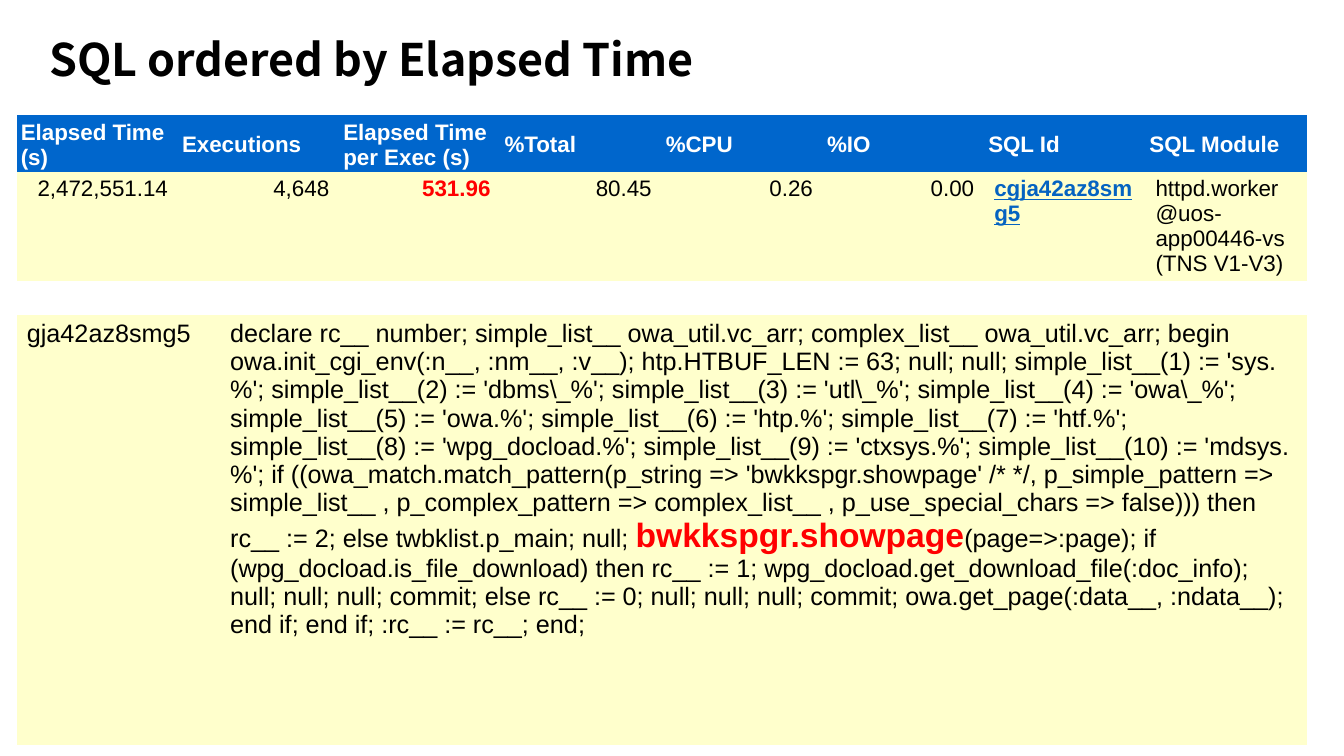
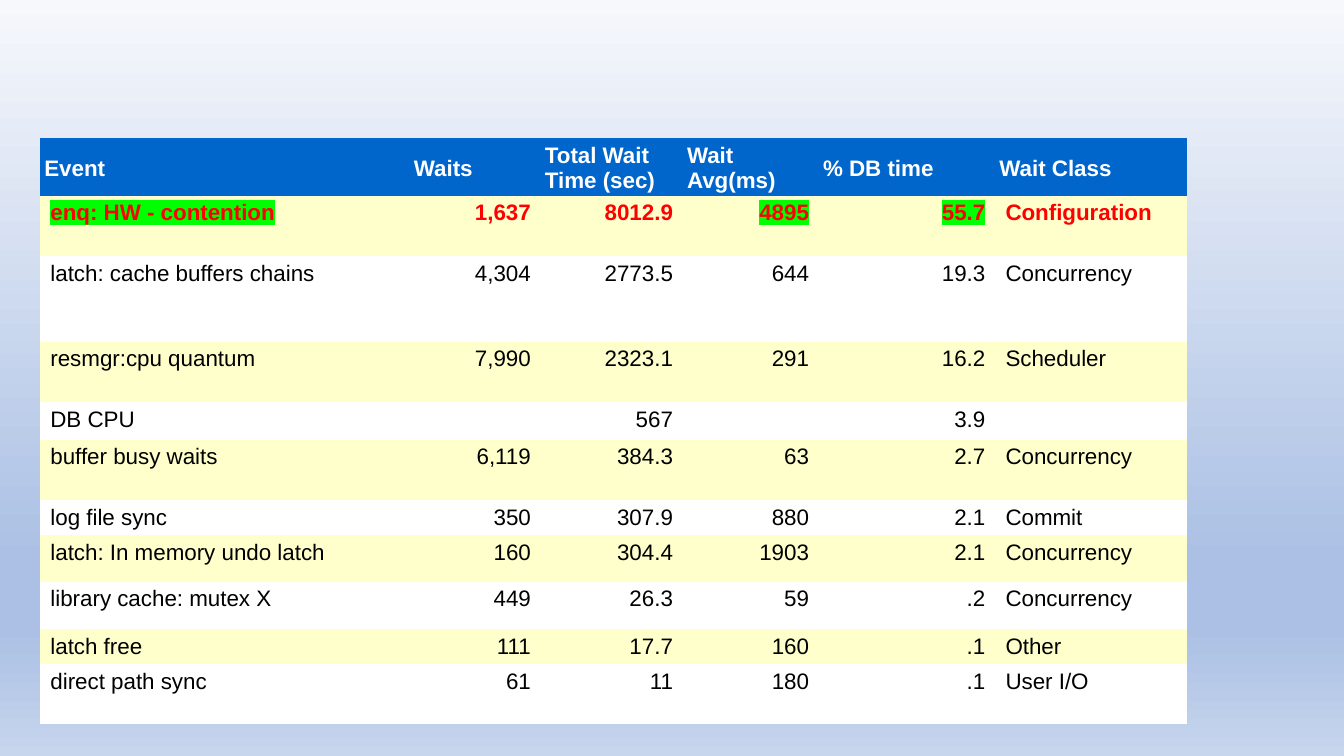
"""Builds two slides of database wait and SQL timing tables."""
from dataclasses import dataclass
from functools import partial

from lxml import etree
from pptx import Presentation, util as u
from pptx.dml import color as dml
from pptx.enum import text as t
from pptx.oxml import ns

GRID_COLUMNS, GRID_ROWS = 80, 45
FONT, TITLE_FONT = "Arial", "Noto Sans CJK SC"
BLACK, WHITE, RED = "000000", "FFFFFF", "FF0000"
BLUE, CREAM, LINK, GREEN = "0066CC", "FFFFCC", "0563C1", "00FF00"
PLAIN_TABLE = "{2D5ABB26-0587-4C30-8999-92F81FD0307C}"


@dataclass
class Piece:
    """A stretch of text with its own look."""
    text: str
    color: str = BLACK
    bold: bool = False
    underline: bool = False
    highlight: str = ""
    size: int = 0


Alert = partial(Piece, color=RED, bold=True)
Marked = partial(Alert, highlight=GREEN)


def rgb(value):
    """Turn a hex string into a colour."""
    return dml.RGBColor.from_string(value)


class Deck:
    """Holds the style and the current slide."""

    def __init__(self):
        """Start a widescreen presentation."""
        self.presentation = Presentation()
        self.presentation.slide_width = u.Inches(13.333)
        self.presentation.slide_height = u.Inches(7.5)
        self.slide = None

    def x(self, columns):
        """Convert grid columns to a length."""
        return round(self.presentation.slide_width * columns / GRID_COLUMNS)

    def y(self, rows):
        """Convert grid rows to a length."""
        return round(self.presentation.slide_height * rows / GRID_ROWS)

    def add_slide(self, layout):
        """Add a slide and make it current."""
        layouts = self.presentation.slide_layouts
        self.slide = self.presentation.slides.add_slide(layouts.get_by_name(layout))

    def title(self, words, left, top, width, height):
        """Place and format the title placeholder."""
        shape = self.slide.shapes.title
        shape.left, shape.top = self.x(left), self.y(top)
        shape.width, shape.height = self.x(width), self.y(height)
        frame = shape.text_frame
        frame.text = words
        frame.word_wrap = True
        frame.auto_size = t.MSO_AUTO_SIZE.NONE
        frame.vertical_anchor = t.MSO_ANCHOR.MIDDLE
        paragraph = frame.paragraphs[0]
        paragraph.alignment = t.PP_ALIGN.LEFT
        self.style(paragraph.runs[0], Piece(words, bold=True), 32, TITLE_FONT)

    def gradient(self, stops):
        """Fill the background from top to bottom."""
        fill = self.slide.background.fill
        fill.gradient()
        fill.gradient_angle = 270
        stop_list = self.slide.element.find(".//" + ns.qn("a:gsLst"))
        for stop in list(stop_list):
            stop_list.remove(stop)
        for percent, value in stops:
            stop = etree.SubElement(stop_list, ns.qn("a:gs"), pos=str(percent * 1000))
            etree.SubElement(stop, ns.qn("a:srgbClr"), val=value)

    def style(self, run, piece, size, font=FONT):
        """Format one run."""
        run.font.name, run.font.size = font, u.Pt(piece.size or size)
        run.font.bold, run.font.underline = piece.bold, piece.underline
        run.font.color.rgb = rgb(piece.color)
        if piece.highlight:
            highlight = etree.Element(ns.qn("a:highlight"))
            etree.SubElement(highlight, ns.qn("a:srgbClr"), val=piece.highlight)
            run.font._element.find(ns.qn("a:solidFill")).addnext(highlight)

    def cell(self, cell, content, fill, size, right):
        """Fill a cell with a string, a piece or a list of pieces."""
        cell.fill.solid()
        cell.fill.fore_color.rgb = rgb(fill)
        paragraph = cell.text_frame.paragraphs[0]
        paragraph.alignment = t.PP_ALIGN.RIGHT if right else t.PP_ALIGN.LEFT
        pieces = content if isinstance(content, list) else [content]
        for piece in pieces:
            if isinstance(piece, str):
                piece = Piece(piece)
            if piece.text:
                run = paragraph.add_run()
                run.text = piece.text
                self.style(run, piece, size)
            else:
                etree.SubElement(paragraph._p, ns.qn("a:endParaRPr"), sz=str(size * 100))

    def header_cell(self, cell, words, size):
        """Fill a cell of the header row."""
        self.cell(cell, Piece(words, WHITE, True), BLUE, size, False)
        cell.vertical_anchor = t.MSO_ANCHOR.MIDDLE
        cell.margin_left = cell.margin_right = self.x(0.24)
        cell.margin_top, cell.margin_bottom = self.y(0.3), self.y(0.12)

    def table(self, left, top, widths, heights, body, header=(), right=(), size=16):
        """Add a striped table with an optional header row."""
        frame = self.slide.shapes.add_table(
            len(heights), len(widths), self.x(left), self.y(top),
            self.x(sum(widths)), self.y(sum(heights)))
        table = frame.table
        table.first_row = table.horz_banding = False
        table._tbl.find(".//" + ns.qn("a:tableStyleId")).text = PLAIN_TABLE
        for column, width in zip(table.columns, widths):
            column.width = self.x(width)
        for row, height in zip(table.rows, heights):
            row.height = self.y(height)
        for column, words in enumerate(header):
            self.header_cell(table.cell(0, column), words, size)
        first = 1 if header else 0
        for index, row in enumerate(body):
            fill = (CREAM, WHITE)[index % 2]
            for column, content in enumerate(row):
                self.cell(table.cell(index + first, column), content, fill, size, column in right)


SQL_HEADER = ["Elapsed Time (s)", "Executions", "Elapsed Time per Exec (s)", "%Total",
              "%CPU", "%IO", "SQL Id", "SQL Module"]
SQL_ROW = ["2,472,551.14", "4,648", Alert("531.96"), "80.45", "0.26", "0.00",
           Piece("cgja42az8smg5", LINK, True, True),
           "httpd.worker@uos-app00446-vs (TNS V1-V3)"]
SQL_START = (
    "declare rc__ number; simple_list__ owa_util.vc_arr; complex_list__ owa_util.vc_arr; "
    "begin owa.init_cgi_env(:n__, :nm__, :v__); htp.HTBUF_LEN := 63; null; null; "
    "simple_list__(1) := 'sys.%'; simple_list__(2) := 'dbms\\_%'; "
    "simple_list__(3) := 'utl\\_%'; simple_list__(4) := 'owa\\_%'; "
    "simple_list__(5) := 'owa.%'; simple_list__(6) := 'htp.%'; "
    "simple_list__(7) := 'htf.%'; simple_list__(8) := 'wpg_docload.%'; "
    "simple_list__(9) := 'ctxsys.%'; simple_list__(10) := 'mdsys.%'; "
    "if ((owa_match.match_pattern(p_string => 'bwkkspgr.showpage' /* */, "
    "p_simple_pattern => simple_list__ , p_complex_pattern => complex_list__ , "
    "p_use_special_chars => false))) then rc__ := 2; else twbklist.p_main; null; ")
SQL_END = (
    "(page=>:page); if (wpg_docload.is_file_download) then rc__ := 1; "
    "wpg_docload.get_download_file(:doc_info); null; null; null; commit; "
    "else rc__ := 0; null; null; null; commit; owa.get_page(:data__, :ndata__); "
    "end if; end if; :rc__ := rc__; end;")

WAIT_HEADER = ["Event", "Waits", "Total Wait Time (sec)", "Wait Avg(ms)", "% DB time",
               "Wait Class"]
WAIT_ROWS = [
    [Marked("enq: HW - contention"), Alert("1,637"), Alert("8012.9"), Marked("4895"),
     Marked("55.7"), Alert("Configuration")],
    ["latch: cache buffers chains", "4,304", "2773.5", "644", "19.3", "Concurrency"],
    ["resmgr:cpu quantum", "7,990", "2323.1", "291", "16.2", "Scheduler"],
    ["DB CPU", "", "567", "", "3.9", ""],
    ["buffer busy waits", "6,119", "384.3", "63", "2.7", "Concurrency"],
    ["log file sync", "350", "307.9", "880", "2.1", "Commit"],
    ["latch: In memory undo latch", "160", "304.4", "1903", "2.1", "Concurrency"],
    ["library cache: mutex X", "449", "26.3", "59", ".2", "Concurrency"],
    ["latch free", "111", "17.7", "160", ".1", "Other"],
    ["direct path sync", "61", "11", "180", ".1", "User I/O"],
]
WAIT_HEIGHTS = [3.42, 3.6, 5.1, 3.6, 2.04, 3.6, 2.04, 2.76, 2.82, 2.04, 3.6]


def main():
    """Build and save both slides."""
    deck = Deck()
    deck.add_slide("Title Only")
    deck.title("SQL ordered by Elapsed Time", 2.34, 1.56, 40.9, 3.84)
    deck.table(1, 6.84, [9.6] * 8, [3.06, 5.88], [SQL_ROW], SQL_HEADER, range(6))
    statement = [SQL_START, Alert("bwkkspgr.showpage", size=24), SQL_END]
    deck.table(1, 18.72, [12.1, 64.7], [25.6], [["gja42az8smg5", statement]], size=18)

    deck.add_slide("Blank")
    deck.gradient([(0, "F6F8FC"), (74, "ABC0E4"), (83, "ABC0E4"), (100, "C7D5ED")])
    deck.table(2.4, 8.22, [22, 7.8, 8.46, 8.1, 10.5, 11.4], WAIT_HEIGHTS, WAIT_ROWS,
               WAIT_HEADER, range(1, 5))
    deck.presentation.save("out.pptx")


if __name__ == "__main__":
    main()
